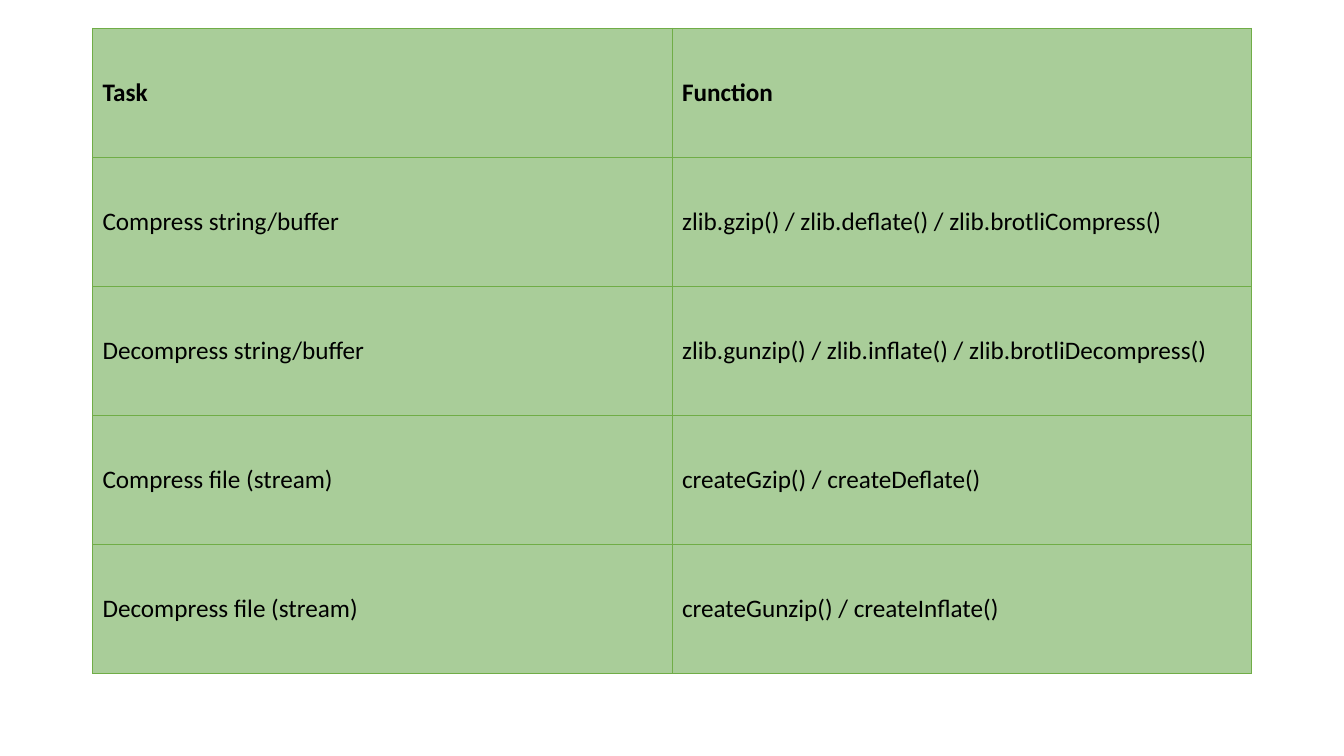
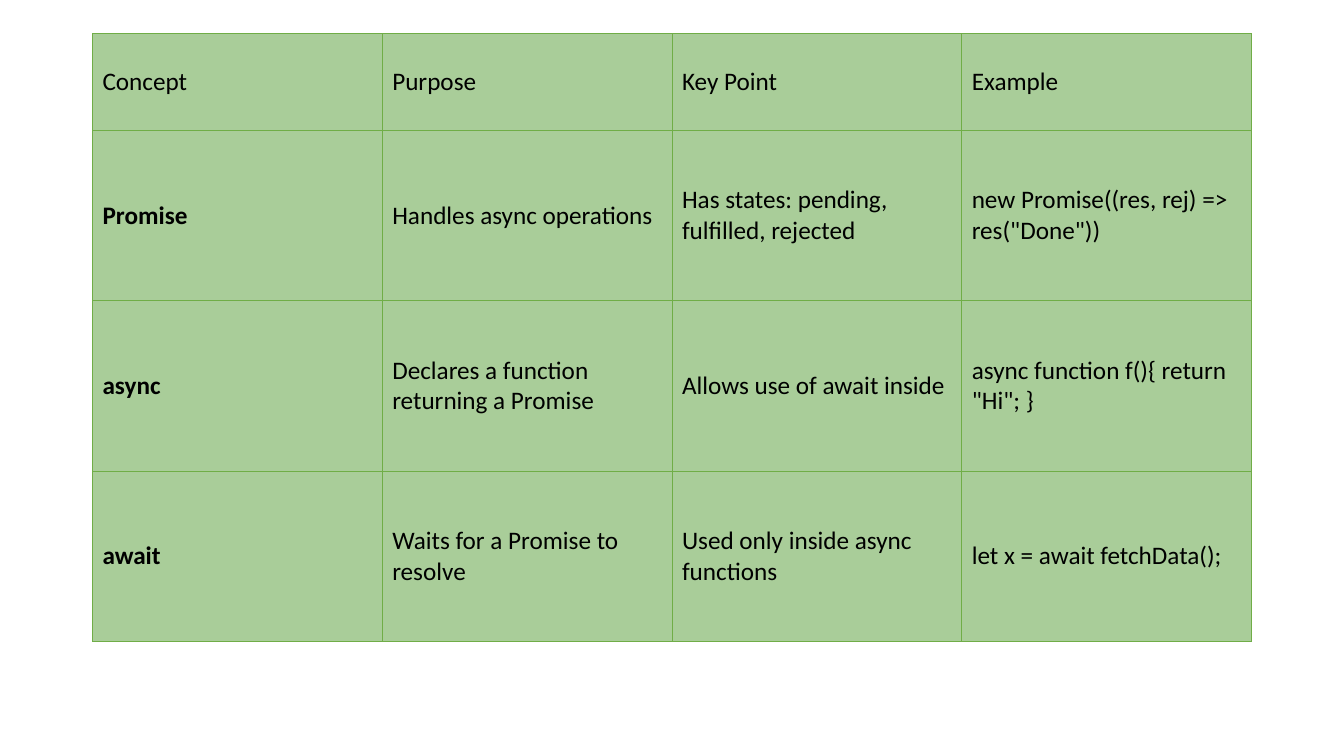
from dataclasses import dataclass

from lxml.etree import SubElement
from pptx import Presentation
from pptx.dml.color import RGBColor
from pptx.enum.text import MSO_ANCHOR
from pptx.oxml.ns import qn
from pptx.slide import Slide
from pptx.table import _Cell
from pptx.util import Cm, Pt

COLORS = {"fill": "A9CD99", "border": "70AD47", "text": "000000"}
FONT_NAME = "Calibri"
FONT_SIZE = Pt(18)
BORDER_WIDTH = Pt(0.5)
TABLE_LEFT = 2.33
TABLE_WIDTH = 29.21


@dataclass(frozen=True)
class TableSpec:
    """One table; lengths are in centimetres."""
    top: float
    header_height: float
    body_height: float
    rows: list[list[str]]
    bold_header: bool = False
    bold_first_column: bool = False


TABLES = [
    TableSpec(
        top=0.71, header_height=3.25, body_height=3.25, bold_header=True,
        rows=[
            ["Task", "Function"],
            ["Compress string/buffer", "zlib.gzip() / zlib.deflate() / zlib.brotliCompress()"],
            ["Decompress string/buffer", "zlib.gunzip() / zlib.inflate() / zlib.brotliDecompress()"],
            ["Compress file (stream)", "createGzip() / createDeflate()"],
            ["Decompress file (stream)", "createGunzip() / createInflate()"],
        ],
    ),
    TableSpec(
        top=0.84, header_height=2.45, body_height=4.29, bold_first_column=True,
        rows=[
            ["Concept", "Purpose", "Key Point", "Example"],
            ["Promise", "Handles async operations",
             "Has states: pending, fulfilled, rejected",
             'new Promise((res, rej) => res("Done"))'],
            ["async", "Declares a function returning a Promise",
             "Allows use of await inside",
             'async function f(){ return "Hi"; }'],
            ["await", "Waits for a Promise to resolve",
             "Used only inside async functions",
             "let x = await fetchData();"],
        ],
    ),
]


def add_borders(cell: _Cell) -> None:
    """Outline all four sides; the lines must precede the cell's fill."""
    properties = cell._tc.get_or_add_tcPr()
    for position, side in enumerate(("lnL", "lnR", "lnT", "lnB")):
        line = properties.makeelement(qn(f"a:{side}"), {"w": str(int(BORDER_WIDTH))})
        solid_fill = SubElement(line, qn("a:solidFill"))
        SubElement(solid_fill, qn("a:srgbClr"), val=COLORS["border"])
        properties.insert(position, line)


def fill_cell(cell: _Cell, text: str, bold: bool) -> None:
    cell.vertical_anchor = MSO_ANCHOR.MIDDLE
    cell.fill.solid()
    cell.fill.fore_color.rgb = RGBColor.from_string(COLORS["fill"])
    add_borders(cell)
    cell.text_frame.text = text
    font = cell.text_frame.paragraphs[0].runs[0].font
    font.name = FONT_NAME
    font.size = FONT_SIZE
    font.bold = bold
    font.color.rgb = RGBColor.from_string(COLORS["text"])


def add_table(slide: Slide, spec: TableSpec) -> None:
    row_count, column_count = len(spec.rows), len(spec.rows[0])
    height = spec.header_height + spec.body_height * (row_count - 1)
    table = slide.shapes.add_table(
        row_count, column_count,
        Cm(TABLE_LEFT), Cm(spec.top), Cm(TABLE_WIDTH), Cm(height),
    ).table
    table.first_row = False
    table.horz_banding = False
    for column in table.columns:
        column.width = Cm(TABLE_WIDTH / column_count)
    for row_index, texts in enumerate(spec.rows):
        is_header = row_index == 0
        table.rows[row_index].height = Cm(spec.header_height if is_header else spec.body_height)
        for column_index, text in enumerate(texts):
            bold = spec.bold_header if is_header else spec.bold_first_column and column_index == 0
            fill_cell(table.cell(row_index, column_index), text, bold)


def main() -> None:
    presentation = Presentation()
    presentation.slide_width = Cm(33.87)
    presentation.slide_height = Cm(19.05)
    blank_layout = presentation.slide_layouts[6]
    for spec in TABLES:
        add_table(presentation.slides.add_slide(blank_layout), spec)
    presentation.save("out.pptx")


if __name__ == "__main__":
    main()
